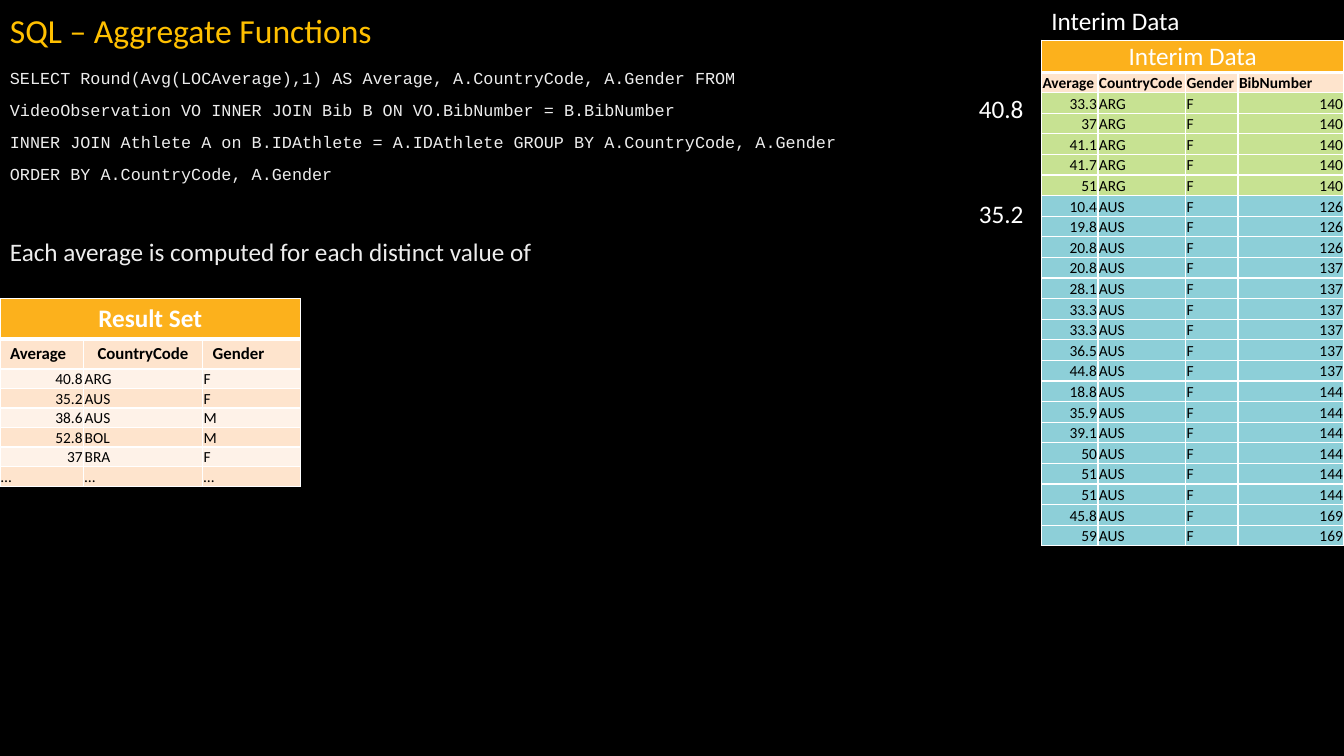
"""Build the SQL aggregate functions slide with its interim and result tables."""
from lxml import etree
from pptx import Presentation
from pptx.dml.color import RGBColor
from pptx.enum.text import MSO_ANCHOR, PP_ALIGN
from pptx.oxml.ns import qn
from pptx.util import Inches, Pt

LEFT, CENTER, RIGHT = PP_ALIGN.LEFT, PP_ALIGN.CENTER, PP_ALIGN.RIGHT
TOP, MIDDLE, BOTTOM = MSO_ANCHOR.TOP, MSO_ANCHOR.MIDDLE, MSO_ANCHOR.BOTTOM
SANS, MONO = "Calibri", "Courier New"
BLACK, WHITE, GOLD, SILVER = "000000", "FFFFFF", "FFC000", "EDEDED"
ORANGE, PEACH, CREAM = "FCB11C", "FEE4CD", "FEF2E8"
GROUP_FILLS = {"ARG": "C7E292", "AUS": "8DCFD8"}
WIDE, TIGHT = (0.1, 0.05, 0.1, 0.05), (0.01, 0.01, 0.01, 0)

TITLE = "SQL – Aggregate Functions"
QUERY = [
    "SELECT Round(Avg(LOCAverage),1) AS Average, A.CountryCode, A.Gender FROM",
    "VideoObservation VO INNER JOIN Bib B ON VO.BibNumber = B.BibNumber",
    "INNER JOIN Athlete A on B.IDAthlete = A.IDAthlete GROUP BY A.CountryCode, A.Gender",
    "ORDER BY A.CountryCode, A.Gender",
]
REMARK = "Each average is computed for each distinct value of"
LABELS = [
    ("Interim Data", 10.33, 0, 1.9, LEFT),
    ("40.8", 9.36, 0.88, 0.89, RIGHT),
    ("35.2", 9.36, 1.92, 0.89, RIGHT),
]
INTERIM_HEADS = ["Average", "CountryCode", "Gender", "BibNumber"]
INTERIM_GROUPS = [
    ("ARG", "140", ["33.3", "37", "41.1", "41.7", "51"]),
    ("AUS", "126", ["10.4", "19.8", "20.8"]),
    ("AUS", "137", ["20.8", "28.1", "33.3", "33.3", "36.5", "44.8"]),
    ("AUS", "144", ["18.8", "35.9", "39.1", "50", "51", "51"]),
    ("AUS", "169", ["45.8", "59"]),
]
INTERIM_ROWS = [(avg, country, "F", bib)
                for country, bib, averages in INTERIM_GROUPS for avg in averages]
RESULT_HEADS = ["Average", " CountryCode", "Gender"]
RESULT_ROWS = [
    ("40.8", "ARG", "F"), ("35.2", "AUS", "F"), ("38.6", "AUS", "M"),
    ("52.8", "BOL", "M"), ("37", "BRA", "F"), ("…", "…", "…"),
]


def rgb(color):
    return RGBColor.from_string(color)


def style(p, size, color, font=SANS, bold=False, align=LEFT):
    p.alignment = align
    for r in p.runs:
        r.font.size, r.font.name, r.font.bold = Pt(size), font, bold
        r.font.color.rgb = rgb(color)


def add_box(s, x, y, w, h, lines, anchor=TOP):
    tf = s.shapes.add_textbox(Inches(x), Inches(y), Inches(w), Inches(h)).text_frame
    tf.word_wrap, tf.vertical_anchor = True, anchor
    tf.text = "\n".join(lines)
    return tf.paragraphs


def set_borders(cell, bottom):
    tc_pr = cell._tc.get_or_add_tcPr()
    for side, width in (("L", 1), ("R", 1), ("T", 1), ("B", bottom)):
        ln = etree.SubElement(tc_pr, qn(f"a:ln{side}"), w=str(Pt(width)))
        fill = etree.SubElement(ln, qn("a:solidFill"))
        etree.SubElement(fill, qn("a:srgbClr"), val=WHITE)


def fill_cell(cell, text, fill, insets, anchor, bottom=1, **look):
    set_borders(cell, bottom)
    cell.fill.solid()
    cell.fill.fore_color.rgb = rgb(fill)
    (cell.margin_left, cell.margin_top,
     cell.margin_right, cell.margin_bottom) = map(Inches, insets)
    cell.vertical_anchor = anchor
    cell.text = text
    style(cell.text_frame.paragraphs[0], **look)


def add_grid(s, x, y, widths, heights, title, heads, rows, fills,
             head_size, title_bold, insets, anchor):
    title_h, head_h, body_h = heights
    row_heights = [title_h, head_h] + [body_h / len(rows)] * len(rows)
    table = s.shapes.add_table(len(row_heights), len(widths), Inches(x), Inches(y),
                               Inches(sum(widths)), Inches(sum(heights))).table
    table.first_row = table.horz_banding = False
    for column, width in zip(table.columns, widths):
        column.width = Inches(width)
    for row, height in zip(table.rows, row_heights):
        row.height = Inches(height)
    for c, head in enumerate(heads):
        fill_cell(table.cell(0, c), "" if c else title, ORANGE, insets, anchor, 3,
                  size=18, color=WHITE, bold=title_bold, align=CENTER)
        fill_cell(table.cell(1, c), head, PEACH, insets, anchor,
                  size=head_size, color=BLACK, bold=True)
    table.cell(0, 0).merge(table.cell(0, len(heads) - 1))
    for i, (values, fill) in enumerate(zip(rows, fills), 2):
        for c, value in enumerate(values):
            fill_cell(table.cell(i, c), value, fill, TIGHT, BOTTOM, size=11, color=BLACK,
                      align=RIGHT if value[0].isdigit() else LEFT)


def main():
    prs = Presentation()
    prs.slide_width, prs.slide_height = Inches(13.33), Inches(7.5)
    s = prs.slides.add_slide(prs.slide_layouts[6])
    s.background.fill.solid()
    s.background.fill.fore_color.rgb = rgb(BLACK)

    title = add_box(s, 0, 0, 13.33, 0.64, [TITLE], MIDDLE)[0]
    style(title, 24, GOLD)
    title.line_spacing = 0.9
    *query, remark = add_box(s, 0, 0.64, 8.53, 2.19, QUERY + [REMARK])
    for p in query:
        style(p, 12, SILVER, MONO)
        p.line_spacing, p.space_before = 0.9, Pt(10)
    style(remark, 18, SILVER)
    remark.line_spacing, remark.space_before = 0.9, Pt(40)

    add_grid(s, 10.33, 0.4, [0.56, 0.87, 0.52, 1.05], (0.32, 0.2, 4.5),
             "Interim Data", INTERIM_HEADS, INTERIM_ROWS,
             [GROUP_FILLS[row[1]] for row in INTERIM_ROWS], 11, False, TIGHT, BOTTOM)
    for text, x, y, w, align in LABELS:
        style(add_box(s, x, y, w, 0.4, [text])[0], 18, WHITE, align=align)
    add_grid(s, 0, 2.96, [0.83, 1.18, 0.97], (0.4, 0.3, 1.14),
             "Result Set", RESULT_HEADS, RESULT_ROWS,
             [CREAM, PEACH] * 3, 12, True, WIDE, TOP)
    prs.save("out.pptx")


if __name__ == "__main__":
    main()
